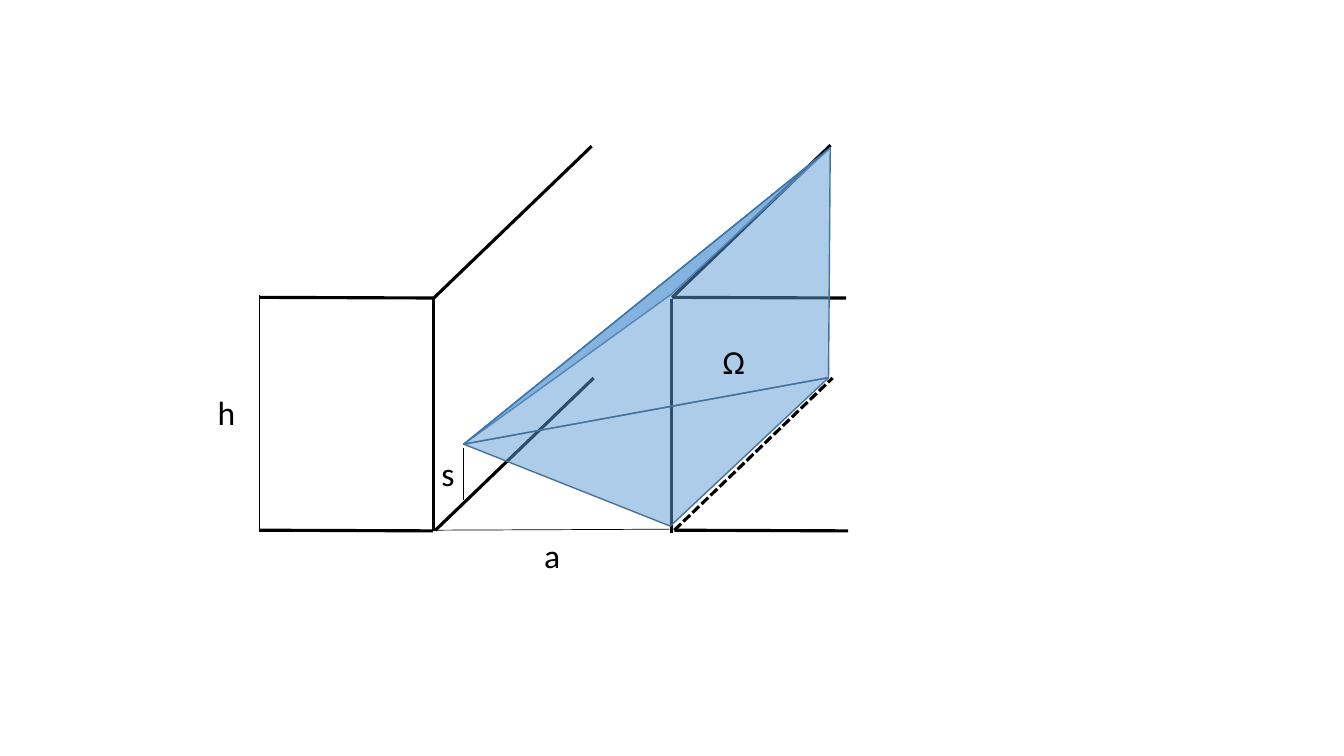
"""Draw the solid angle Ω seen from the wall of a trench of height h and width a."""
import lxml.etree
import pptx
import pptx.dml.color
import pptx.enum.dml
import pptx.enum.shapes
import pptx.enum.text
import pptx.oxml.ns
import pptx.util

COLORS = {"ink": "000000", "face": "5B9BD5", "edge": "43739E"}
FONT = "Calibri"
CELL = pptx.util.Inches(1) / 3
COLUMNS, ROWS = 40, 22.5

TOP, BASE = 8.85, 15.78
LEFT, INNER, RIGHT = 7.71, 12.9, 20.01
BLOCK = 5.17
DEPTH_X, DEPTH_Y = 4.71, -4.53
EYE = (13.8, 13.22)
FAR_TOP, FAR_BASE = (24.71, 4.4), (24.66, 11.24)
NEAR_TOP, NEAR_BASE = (19.98, 8.76), (19.95, 15.66)


def grid(cells):
    return pptx.util.Emu(round(cells * CELL))


def rgb(name):
    return pptx.dml.color.RGBColor.from_string(COLORS[name])


def add_line(s, start, end, width=2.25, dashed=False):
    sp = s.shapes.add_connector(
        pptx.enum.shapes.MSO_CONNECTOR.STRAIGHT, *map(grid, start + end))
    sp.line.color.rgb = rgb("ink")
    sp.line.width = pptx.util.Pt(width)
    if dashed:
        sp.line.dash_style = pptx.enum.dml.MSO_LINE.SQUARE_DOT
    lxml.etree.SubElement(sp._element.spPr, pptx.oxml.ns.qn("a:effectLst"))


def add_label(s, text, x, y, width):
    sp = s.shapes.add_textbox(grid(x), grid(y), grid(width), grid(1.5))
    tf = sp.text_frame
    tf.word_wrap = False
    tf.auto_size = pptx.enum.text.MSO_AUTO_SIZE.SHAPE_TO_FIT_TEXT
    r = tf.paragraphs[0].add_run()
    r.text = text
    r.font.name = FONT
    r.font.size = pptx.util.Pt(24)
    r.font.color.rgb = rgb("ink")


def add_face(s, *corners):
    points = [(grid(x), grid(y)) for x, y in corners]
    builder = s.shapes.build_freeform(*points[0])
    builder.add_line_segments(points[1:], close=True)
    sp = builder.convert_to_shape()
    sp.shadow.inherit = False
    sp.fill.solid()
    sp.fill.fore_color.rgb = rgb("face")
    color = sp._element.spPr.find(".//" + pptx.oxml.ns.qn("a:srgbClr"))
    lxml.etree.SubElement(color, pptx.oxml.ns.qn("a:alpha"), val="50000")
    sp.line.color.rgb = rgb("edge")
    sp.line.width = pptx.util.Pt(1)


def add_blocks(s):
    for x, y in ((LEFT, TOP), (RIGHT, TOP), (LEFT, BASE), (RIGHT + 0.06, BASE)):
        add_line(s, (x, y), (x + BLOCK, y + 0.02))
    for x, y in ((INNER, TOP), (RIGHT - 0.03, TOP + 0.05)):
        add_line(s, (x, y), (x, y + 6.95))
    for x, y, dashed in ((RIGHT, TOP, False), (INNER + 0.06, BASE, False),
                         (INNER, TOP + 0.03, False), (RIGHT + 0.06, BASE, True)):
        add_line(s, (x, y), (x + DEPTH_X, y + DEPTH_Y), dashed=dashed)


def add_dimensions(s):
    add_line(s, (INNER - 0.06, BASE), (RIGHT - 0.09, BASE - 0.03), 0.5)
    add_line(s, (LEFT, TOP - 0.06), (LEFT, BASE - 0.03), 0.5)
    add_line(s, (EYE[0], EYE[1] + 0.1), (EYE[0], EYE[1] + 1.66), 0.5)
    add_label(s, "a", 15.9, BASE, 1.08)
    add_label(s, "s", 12.84, 13.32, 0.99)
    add_label(s, "h", 6.18, 11.52, 1.14)


def add_solid_angle(s):
    add_face(s, EYE, FAR_TOP, NEAR_TOP)
    add_face(s, EYE, NEAR_BASE, FAR_BASE)
    add_face(s, EYE, FAR_BASE, FAR_TOP)
    add_label(s, "Ω", 21.21, 9.99, 1.38)


def main():
    prs = pptx.Presentation()
    prs.slide_width, prs.slide_height = grid(COLUMNS), grid(ROWS)
    s = prs.slides.add_slide(prs.slide_layouts[6])
    add_blocks(s)
    add_dimensions(s)
    add_solid_angle(s)
    prs.save("out.pptx")


if __name__ == "__main__":
    main()
